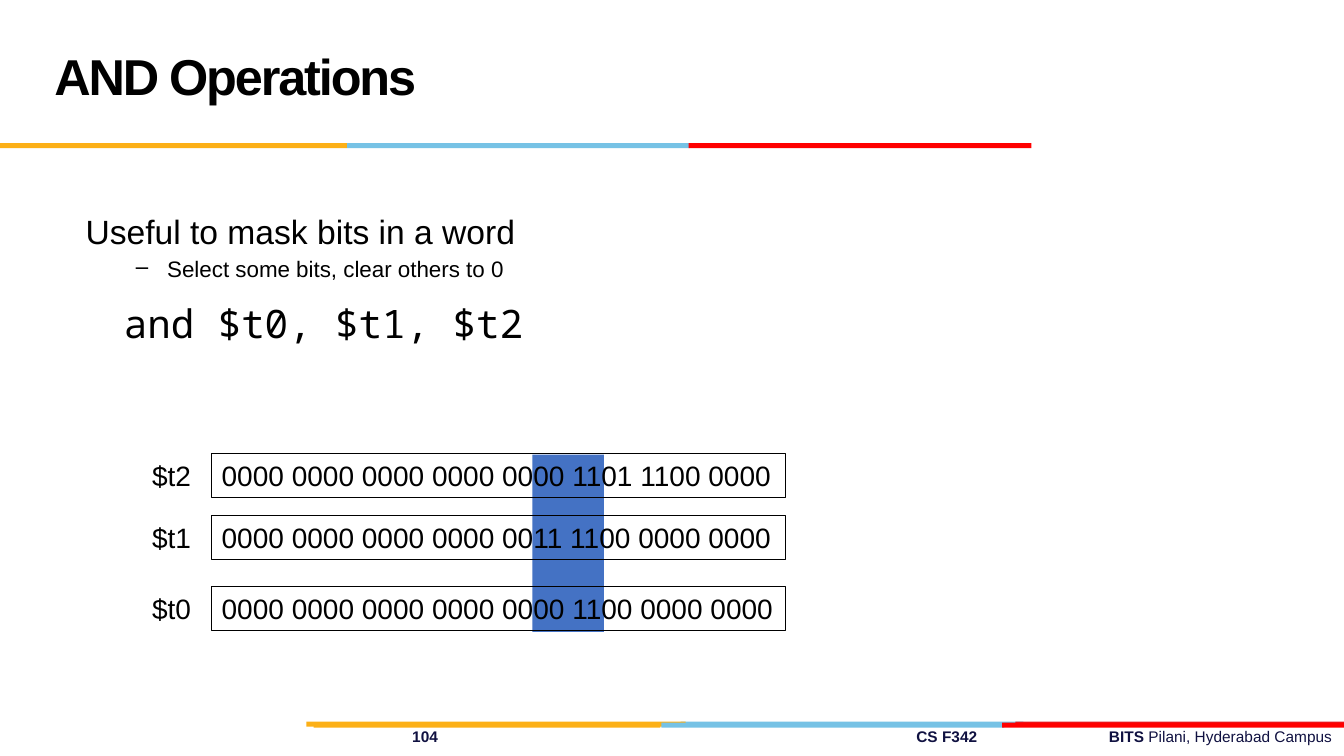
from pptx import Presentation
from pptx.dml.color import RGBColor
from pptx.enum.shapes import MSO_SHAPE
from pptx.enum.text import MSO_ANCHOR, PP_ALIGN
from pptx.oxml.ns import qn
from pptx.util import Inches, Pt
from lxml import etree

RECT = MSO_SHAPE.RECTANGLE
TOP, MIDDLE = MSO_ANCHOR.TOP, MSO_ANCHOR.MIDDLE
LEFT = PP_ALIGN.LEFT

# Content
TITLE = "AND Operations"
# text, size, font, left margin, hanging indent, bullet, space before
BODY = [
    ("Useful to mask bits in a word", 24, "Arial", 0, 0, None, 0),
    ("Select some bits, clear others to 0", 16, "Arial", 0.81, -0.31, "–", 3.2),
    ("and $t0, $t1, $t2", 28, "Noto Sans Mono", 0.38, 0, None, 12),
]
# register, top, word
REGISTERS = [
    ("$t2", 4.5, "0000 0000 0000 0000 0000 1101 1100 0000"),
    ("$t1", 5.11, "0000 0000 0000 0000 0011 1100 0000 0000"),
    ("$t0", 5.82, "0000 0000 0000 0000 0000 1100 0000 0000"),
]
FOOTER = [("\t104\tCS F342\tBITS ", True), ("Pilani, Hyderabad Campus", False)]
FOOTER_TABS = [3.77, 8.77, 10.68]

COLORS = {"ink": "000000", "navy": "101141", "mask": "4472C4", "sky": "76C2E5",
          "gold": "FCB017", "crimson": "E31C24", "red": "FF0000"}
# top of stripe, then (left, width, colour) of each bar from back to front
STRIPES = [
    (7.16, [(6.75, 3.4, "sky"), (10.07, 3.26, "crimson"), (3.04, 3.76, "gold")]),
    (7.17, [(6.56, 3.4, "sky"), (3.11, 3.44, "gold"), (9.94, 3.39, "red")]),
    (1.42, [(3.44, 3.4, "sky"), (0, 3.44, "gold"), (6.83, 3.4, "red")]),
]
BAR_H = 0.05
LABEL_X, LABEL_W = 1.41, 0.59
WORD_X, WORD_W, WORD_H = 2.1, 5.69, 0.44
MASK_X, MASK_W = 5.28, 0.71

prs = Presentation()
prs.slide_width, prs.slide_height = Inches(13.33), Inches(7.5)
s = prs.slides.add_slide(prs.slide_layouts[6])


def rgb(name):
    return RGBColor.from_string(COLORS[name])


def add_rect(x, y, w, h, fill=None, line=None):
    sp = s.shapes.add_shape(RECT, *map(Inches, (x, y, w, h)))
    sp.shadow.inherit = False
    if fill:
        sp.fill.solid()
        sp.fill.fore_color.rgb = rgb(fill)
    else:
        sp.fill.background()
    if line:
        sp.line.color.rgb = rgb(line)
        sp.line.width = Pt(0.75)
    else:
        sp.line.fill.background()
    return sp


def add_box(x, y, w, h, anchor=TOP):
    tf = s.shapes.add_textbox(*map(Inches, (x, y, w, h))).text_frame
    tf.word_wrap = True
    tf.vertical_anchor = anchor
    return tf


def add_run(p, text, size, color="ink", bold=False, font="Arial"):
    r = p.add_run()
    r.text = text
    r.font.size, r.font.bold, r.font.name = Pt(size), bold, font
    r.font.color.rgb = rgb(color)
    return r


def add_line(tf, text):
    tf.word_wrap = False
    tf.vertical_anchor = TOP
    p = tf.paragraphs[0]
    p.alignment = LEFT
    add_run(p, text, 20)


# Footer text, spaced by tab stops
tf = add_box(0.22, 7.16, 13.11, 0.29)
tf.margin_right = 0
p = tf.paragraphs[0]
tabs = etree.SubElement(p._p.get_or_add_pPr(), qn("a:tabLst"))
for stop in FOOTER_TABS:
    etree.SubElement(tabs, qn("a:tab"), pos=str(Inches(stop)), algn="l")
for text, bold in FOOTER:
    add_run(p, text, 11, "navy", bold)

# Coloured stripes
for y, bars in STRIPES:
    for x, w, color in bars:
        add_rect(x, y, w, BAR_H, color)

# Title
p = add_box(0.44, 0.17, 9.22, 1.25, MIDDLE).paragraphs[0]
p.line_spacing = Pt(36)
r = add_run(p, TITLE, 36, bold=True)
r.font._element.set("spc", "-150")

# Mask column behind the words
mask_top, mask_bottom = REGISTERS[0][1], REGISTERS[-1][1] + WORD_H
add_rect(MASK_X, mask_top + 0.01, MASK_W, mask_bottom - mask_top, "mask")

# Body text
tf = add_box(0.75, 2.01, 9.05, 2.27)
tf.margin_top = Inches(0.08)
for i, (text, size, font, margin, indent, bullet, before) in enumerate(BODY):
    p = tf.add_paragraph() if i else tf.paragraphs[0]
    pPr = p._p.get_or_add_pPr()
    pPr.set("marL", str(Inches(margin)))
    pPr.set("indent", str(Inches(indent)))
    if bullet:
        etree.SubElement(pPr, qn("a:buChar"), char=bullet)
    if before:
        p.space_before = Pt(before)
    add_run(p, text, size, font=font)

# Register labels and words
for register, y, word in REGISTERS:
    add_line(add_rect(WORD_X, y, WORD_W, WORD_H, line="ink").text_frame, word)
    add_line(add_box(LABEL_X, y, LABEL_W, WORD_H), register)

prs.save("out.pptx")
